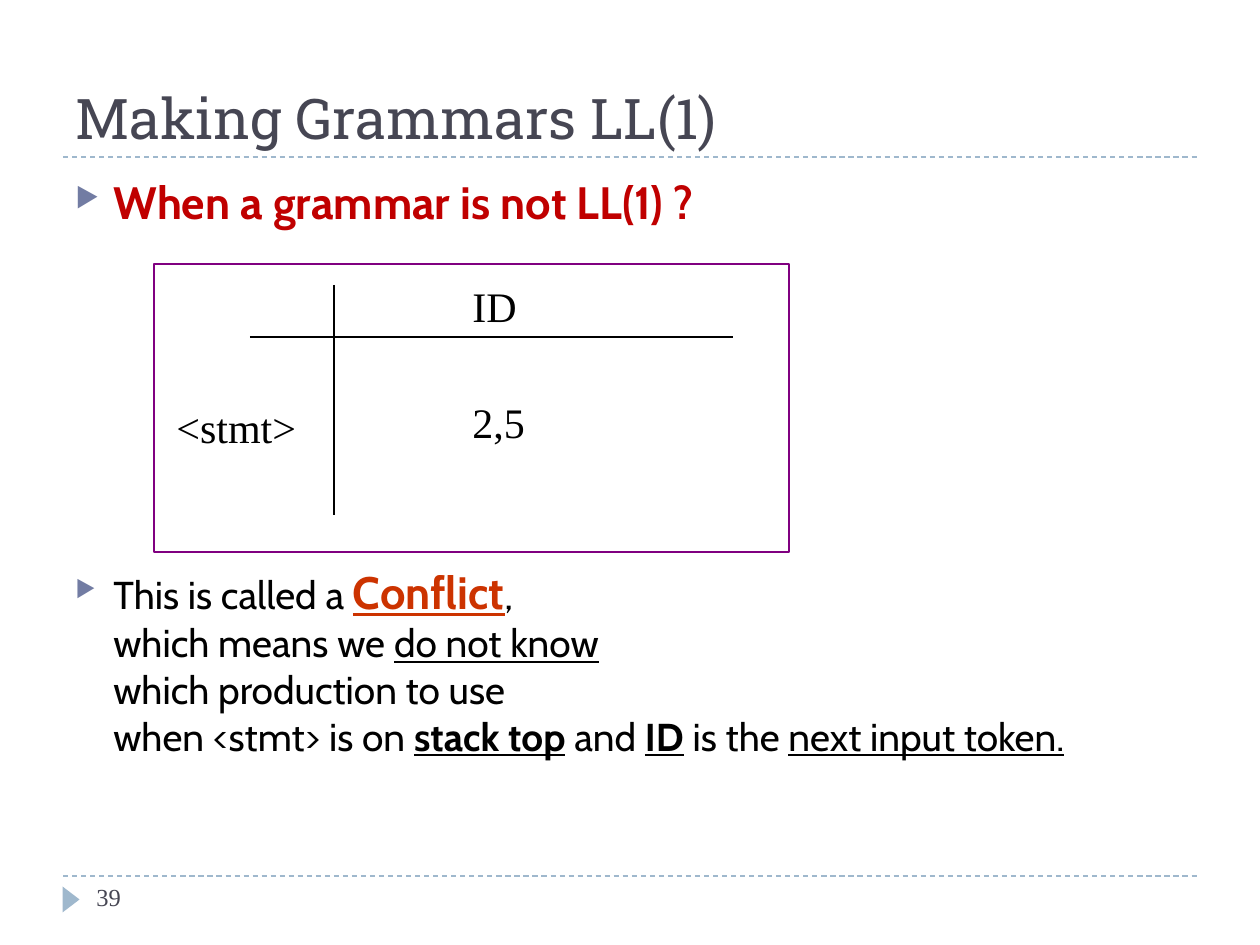
from typing import NamedTuple

from lxml.etree import SubElement
from pptx import Presentation
from pptx.dml.color import RGBColor
from pptx.enum.dml import MSO_LINE_DASH_STYLE as Dash
from pptx.enum.shapes import MSO_CONNECTOR_TYPE as Connector
from pptx.enum.shapes import MSO_SHAPE as Shape
from pptx.enum.text import MSO_ANCHOR as Anchor
from pptx.enum.text import MSO_AUTO_SIZE as AutoSize
from pptx.oxml.ns import qn
from pptx.util import Emu, Pt

PX_PER_INCH = 126
COLOURS = {
    "title": "464653",
    "question": "C00000",
    "conflict": "CC3300",
    "text": "000000",
    "bullet": "727CA3",
    "rule": "9FB8CD",
    "frame": "800080",
}
HEADING, BODY, SERIF = "Roboto Slab", "Cabin", "Times New Roman"


class Span(NamedTuple):
    text: str
    size: float = 22.2
    colour: str = "text"
    bold: bool = False
    underline: bool = False


class Line(NamedTuple):
    start: tuple[int, int]
    end: tuple[int, int]
    colour: str = "text"
    dash: Dash | None = None


class Label(NamedTuple):
    text: str
    area: tuple[int, int, int, int]
    font: str = SERIF
    size: float = 24
    colour: str = "text"
    anchor: Anchor = Anchor.TOP


LINES = [
    Line((63, 876), (1197, 876), "rule", Dash.DASH),
    Line((63, 157), (1197, 157), "rule", Dash.DASH),
    Line((250, 337), (733, 337)),
    Line((334, 285), (334, 515)),
]
LABELS = [
    Label("Making Grammars LL(1)", (63, 21, 1134, 136), HEADING, 32, "title",
          Anchor.BOTTOM),
    Label("39", (84, 876, 273, 50), SERIF, 14, "title"),
    Label("<stmt>", (164, 395, 155, 63)),
    Label("ID", (460, 274, 80, 63)),
    Label("2,5", (460, 390, 90, 63)),
]
QUESTION = [[Span("When a grammar is not LL(1) ?", 25.9, "question", bold=True)]]
ANSWER = [
    [Span("This is called a "),
     Span("Conflict", 25.9, "conflict", bold=True, underline=True), Span(",")],
    [Span("which means we "), Span("do not know", underline=True)],
    [Span("which production to use")],
    [Span("when <stmt> is on "), Span("stack top", bold=True, underline=True),
     Span(" and "), Span("ID", bold=True, underline=True),
     Span(" is the "), Span("next input token.", underline=True)],
]


def px(length: int) -> Emu:
    return Emu(round(length * 914400 / PX_PER_INCH))


def rgb(name: str) -> RGBColor:
    return RGBColor.from_string(COLOURS[name])


def add_line(page, line: Line) -> None:
    ends = [px(value) for value in line.start + line.end]
    connector = page.shapes.add_connector(Connector.STRAIGHT, *ends)
    connector.line.color.rgb = rgb(line.colour)
    connector.line.width = Pt(0.75)
    if line.dash is not None:
        connector.line.dash_style = line.dash
    SubElement(connector._element.spPr, qn("a:effectLst"))


def add_frame(page, area: tuple[int, int, int, int]):
    """Add a wrapping text box of fixed size and return its text frame."""
    frame = page.shapes.add_textbox(*map(px, area)).text_frame
    frame.word_wrap = True
    frame.auto_size = AutoSize.NONE
    return frame


def add_text(para, text: str, *, font: str, size: float, colour: str,
             bold: bool = False, underline: bool = False) -> None:
    span = para.add_run()
    span.text = text
    span.font.name = font
    span.font.size = Pt(size)
    span.font.color.rgb = rgb(colour)
    span.font.bold = bold
    span.font.underline = underline


def add_label(page, label: Label) -> None:
    frame = add_frame(page, label.area)
    frame.vertical_anchor = label.anchor
    add_text(frame.paragraphs[0], label.text, font=label.font,
             size=label.size, colour=label.colour)


def add_bullet(para) -> None:
    """Give the paragraph a hanging triangle bullet."""
    properties = para._p.get_or_add_pPr()
    indent = px(38)
    properties.set("marL", str(indent))
    properties.set("indent", str(-indent))
    colour = SubElement(properties, qn("a:buClr"))
    SubElement(colour, qn("a:srgbClr"), val=COLOURS["bullet"])
    SubElement(properties, qn("a:buSzPct"), val="60000")
    SubElement(properties, qn("a:buChar"), char="▶")


def fill_bullet(para, rows: list[list[Span]]) -> None:
    """Write the rows as one bulleted paragraph with line breaks."""
    add_bullet(para)
    for number, row in enumerate(rows):
        if number:
            para.add_line_break()
        for span in row:
            add_text(para, span.text, font=BODY, size=span.size,
                     colour=span.colour, bold=span.bold,
                     underline=span.underline)


def add_body(page) -> None:
    frame = add_frame(page, (63, 168, 1134, 680))
    fill_bullet(frame.paragraphs[0], QUESTION)
    answer = frame.add_paragraph()
    fill_bullet(answer, ANSWER)
    answer.space_before = Pt(192)


def add_page_marker(page) -> None:
    marker = page.shapes.add_shape(Shape.ISOSCELES_TRIANGLE,
                                   *map(px, (58, 891, 26, 17)))
    marker.rotation = 90
    marker.shadow.inherit = False
    marker.fill.solid()
    marker.fill.fore_color.rgb = rgb("rule")
    marker.line.fill.background()


def add_table_frame(page) -> None:
    frame = page.shapes.add_shape(Shape.FLOWCHART_PROCESS,
                                  *map(px, (154, 264, 635, 288)))
    frame.shadow.inherit = False
    frame.fill.background()
    frame.line.color.rgb = rgb("frame")
    frame.line.width = Pt(1.5)


def main() -> None:
    deck = Presentation()
    deck.slide_width, deck.slide_height = px(1260), px(945)
    page = deck.slides.add_slide(deck.slide_layouts[6])
    for line in LINES:
        add_line(page, line)
    add_page_marker(page)
    add_body(page)
    for label in LABELS:
        add_label(page, label)
    add_table_frame(page)
    deck.save("out.pptx")


if __name__ == "__main__":
    main()
